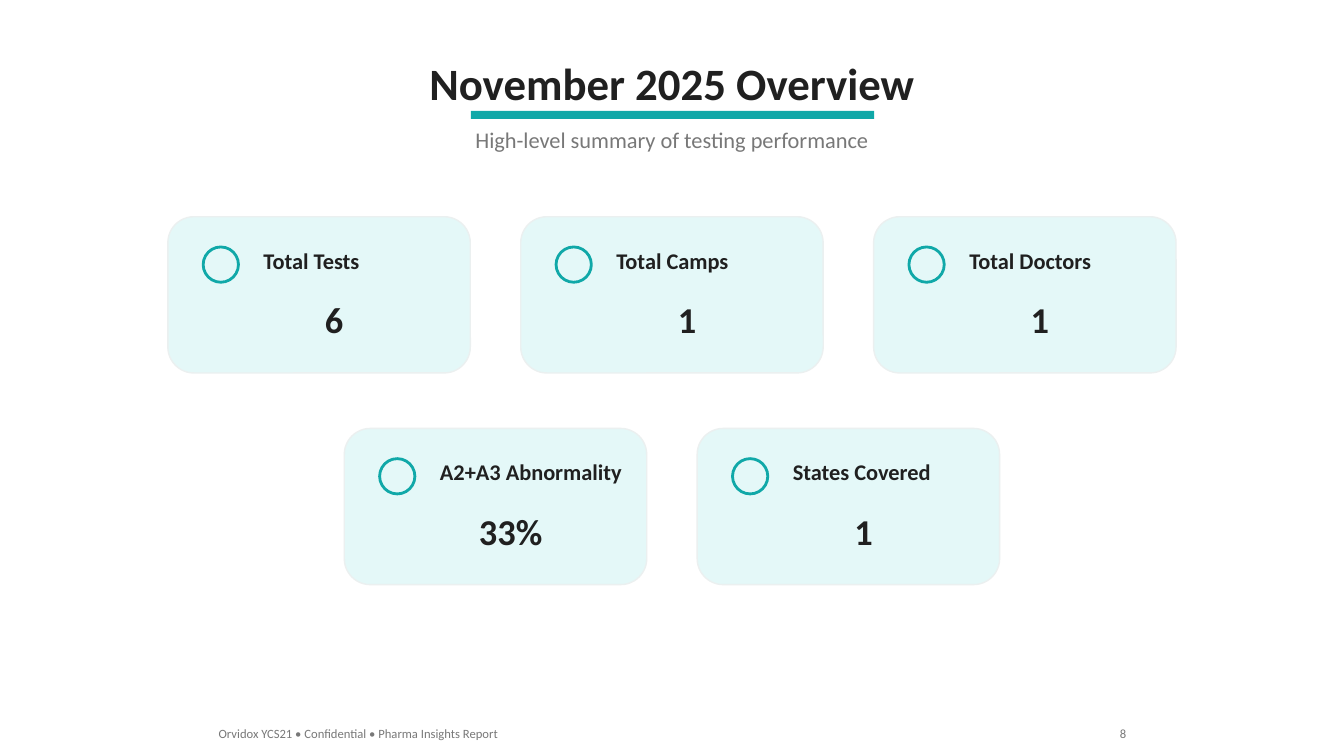
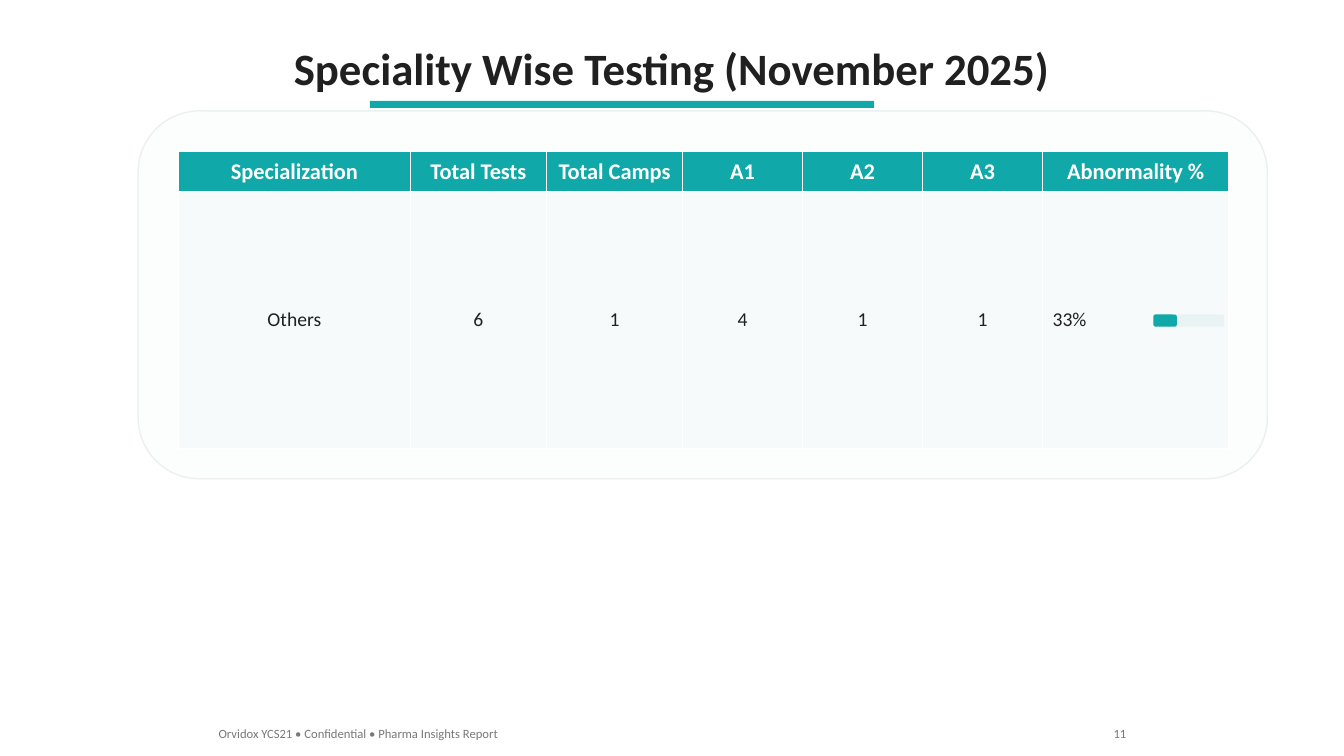
"""Build two slides of a monthly testing report."""
from dataclasses import dataclass

from lxml import etree
from pptx import Presentation
from pptx.dml.color import RGBColor
from pptx.enum.shapes import MSO_SHAPE
from pptx.enum.text import MSO_ANCHOR, PP_ALIGN
from pptx.oxml.ns import qn
from pptx.util import Inches, Pt

RECT = MSO_SHAPE.RECTANGLE
ROUND = MSO_SHAPE.ROUNDED_RECTANGLE
OVAL = MSO_SHAPE.OVAL
LEFT, MID, RIGHT = PP_ALIGN.LEFT, PP_ALIGN.CENTER, PP_ALIGN.RIGHT
MIDDLE = MSO_ANCHOR.MIDDLE
WIDE, HIGH = 13.33, 7.5


@dataclass(frozen=True)
class Theme:
    font: str = "Calibri"
    teal: str = "10A8A8"
    ink: str = "202020"
    gray: str = "787878"
    white: str = "FFFFFF"
    mint: str = "E4F8F8"
    edge: str = "EBF0F0"
    panel: str = "FCFDFD"
    row: str = "F6FAFA"
    track: str = "EAF3F3"
    title: int = 32
    value: int = 26
    label: int = 16
    body: int = 14
    foot: int = 9


class Deck:
    def __init__(self, theme):
        self.theme = theme
        self.prs = Presentation()
        self.prs.slide_width = Inches(WIDE)
        self.prs.slide_height = Inches(HIGH)
        self.slide = None

    def start(self, title, top, page, band):
        t = self.theme
        self.slide = self.prs.slides.add_slide(self.prs.slide_layouts[6])
        self.text(title, (WIDE - 8) / 2, top, 8, 0.64, t.title, t.ink, True, MID)
        self.shape(RECT, *band, fill=t.teal)
        self.text("Orvidox YCS21 • Confidential • Pharma Insights Report",
                  2.07, 7.15, 4, 0.25, t.foot, t.gray)
        self.text(str(page), 10.27, 7.15, 1, 0.25, t.foot, t.gray, align=RIGHT)

    def shape(self, kind, x, y, w, h, fill=None, line=None, weight=1):
        item = self.slide.shapes.add_shape(
            kind, Inches(x), Inches(y), Inches(w), Inches(h))
        item.shadow.inherit = False
        if fill:
            item.fill.solid()
            item.fill.fore_color.rgb = RGBColor.from_string(fill)
        else:
            item.fill.background()
        if line:
            item.line.color.rgb = RGBColor.from_string(line)
            item.line.width = Pt(weight)
        else:
            item.line.fill.background()

    def add_run(self, frame, words, size, color, bold, align):
        para = frame.paragraphs[0]
        para.alignment = align
        run = para.add_run()
        run.text = words
        font = run.font
        font.name = self.theme.font
        font.size = Pt(size)
        font.bold = bold
        font.color.rgb = RGBColor.from_string(color)

    def text(self, words, x, y, w, h, size, color, bold=False, align=LEFT):
        box = self.slide.shapes.add_textbox(
            Inches(x), Inches(y), Inches(w), Inches(h))
        box.text_frame.word_wrap = True
        self.add_run(box.text_frame, words, size, color, bold, align)

    def card(self, x, y, label, value):
        t = self.theme
        self.shape(ROUND, x, y, 3, 1.55, t.mint, t.edge)
        self.shape(OVAL, x + 0.35, y + 0.3, 0.35, 0.35, line=t.teal, weight=2)
        self.text(label, x + 0.85, y + 0.25, 2.15, 0.37, t.label, t.ink, True)
        self.text(value, x + 0.35, y + 0.75, 2.6, 0.54, t.value, t.ink, True, MID)

    def cards(self, rows, top, width=3, gap=0.5, pitch=2.1):
        for r, row in enumerate(rows):
            span = len(row) * (width + gap) - gap
            for c, (label, value) in enumerate(row):
                x = (WIDE - span) / 2 + c * (width + gap)
                self.card(x, top + r * pitch, label, value)

    def border(self, cell):
        props = cell._tc.get_or_add_tcPr()
        for side in ("a:lnL", "a:lnR", "a:lnT", "a:lnB"):
            line = etree.SubElement(props, qn(side), w=str(Pt(1)))
            fill = etree.SubElement(line, qn("a:solidFill"))
            etree.SubElement(fill, qn("a:srgbClr"), val=self.theme.white)

    def table(self, x, y, cols, highs, rows):
        t = self.theme
        grid = self.slide.shapes.add_table(
            len(rows), len(cols), Inches(x), Inches(y),
            Inches(sum(cols)), Inches(sum(highs))).table
        for c, width in enumerate(cols):
            grid.columns[c].width = Inches(width)
        for r, row in enumerate(rows):
            grid.rows[r].height = Inches(highs[r])
            head = r == 0
            size, color, back = ((t.label, t.white, t.teal) if head
                                 else (t.body, t.ink, t.row))
            for c, words in enumerate(row):
                cell = grid.cell(r, c)
                if not head:
                    self.border(cell)
                cell.fill.solid()
                cell.fill.fore_color.rgb = RGBColor.from_string(back)
                cell.vertical_anchor = MIDDLE
                last = c == len(cols) - 1
                align = LEFT if last and not head else MID
                self.add_run(cell.text_frame, words, size, color, head, align)

    def meter(self, x, y, share, width=0.7, height=0.12):
        self.shape(ROUND, x, y, width, height, self.theme.track)
        self.shape(ROUND, x, y, width * share, height, self.theme.teal)


def main():
    theme = Theme()
    deck = Deck(theme)

    deck.start("November 2025 Overview", 0.5, 8, (4.67, 1.1, 4, 0.08))
    deck.text("High-level summary of testing performance", (WIDE - 8) / 2, 1.2,
              8, 0.37, theme.label, theme.gray, align=MID)
    deck.cards([
        [("Total Tests", "6"), ("Total Camps", "1"), ("Total Doctors", "1")],
        [("A2+A3 Abnormality", "33%"), ("States Covered", "1")],
    ], 2.15)

    deck.start("Speciality Wise Testing (November 2025)", 0.35, 11,
               (3.67, 1, 5, 0.07))
    deck.shape(ROUND, 1.37, 1.1, 11.2, 3.65, theme.panel, theme.edge)
    deck.table(1.77, 1.5, [2.3, 1.35, 1.35, 1.19, 1.19, 1.19, 1.85], [0.4, 2.55], [
        ["Specialization", "Total Tests", "Total Camps", "A1", "A2", "A3",
         "Abnormality %"],
        ["Others", "6", "1", "4", "1", "1", "33%"],
    ])
    deck.meter(11.44, 3.12, 0.33)

    deck.prs.save("out.pptx")


if __name__ == "__main__":
    main()
